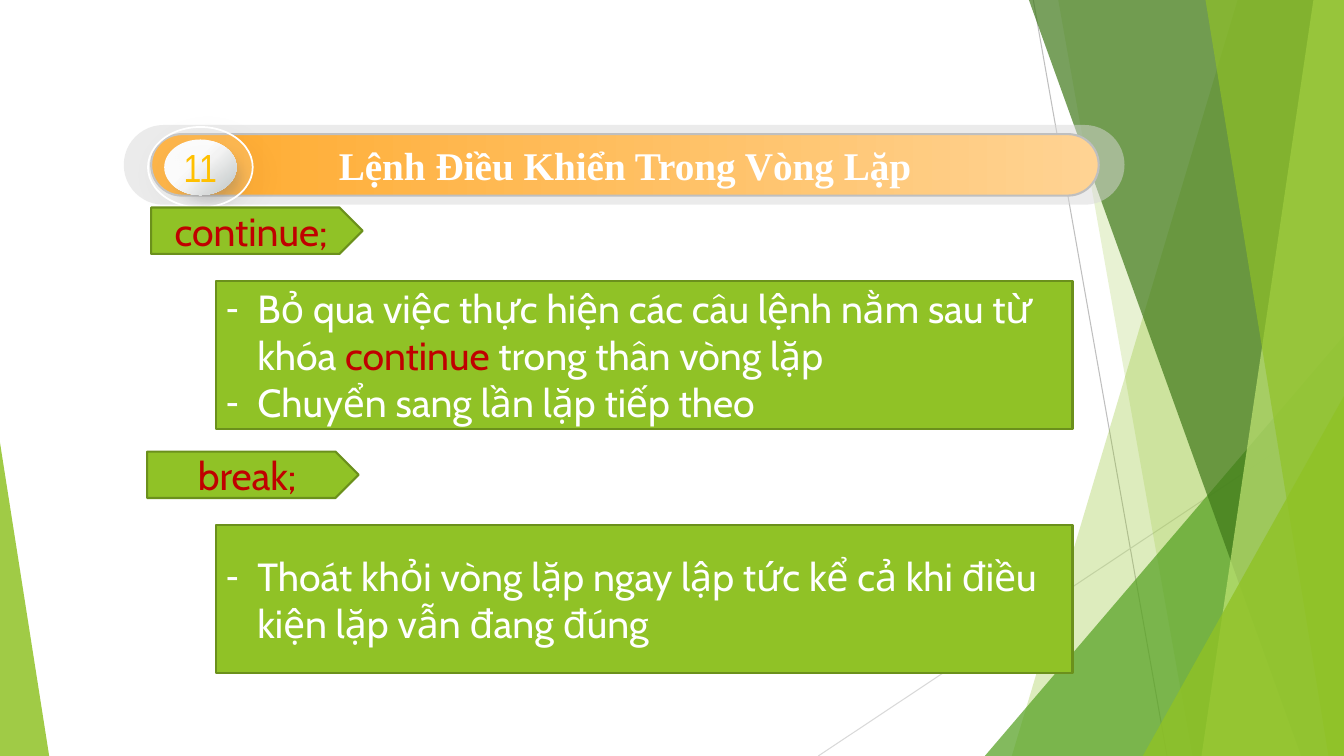
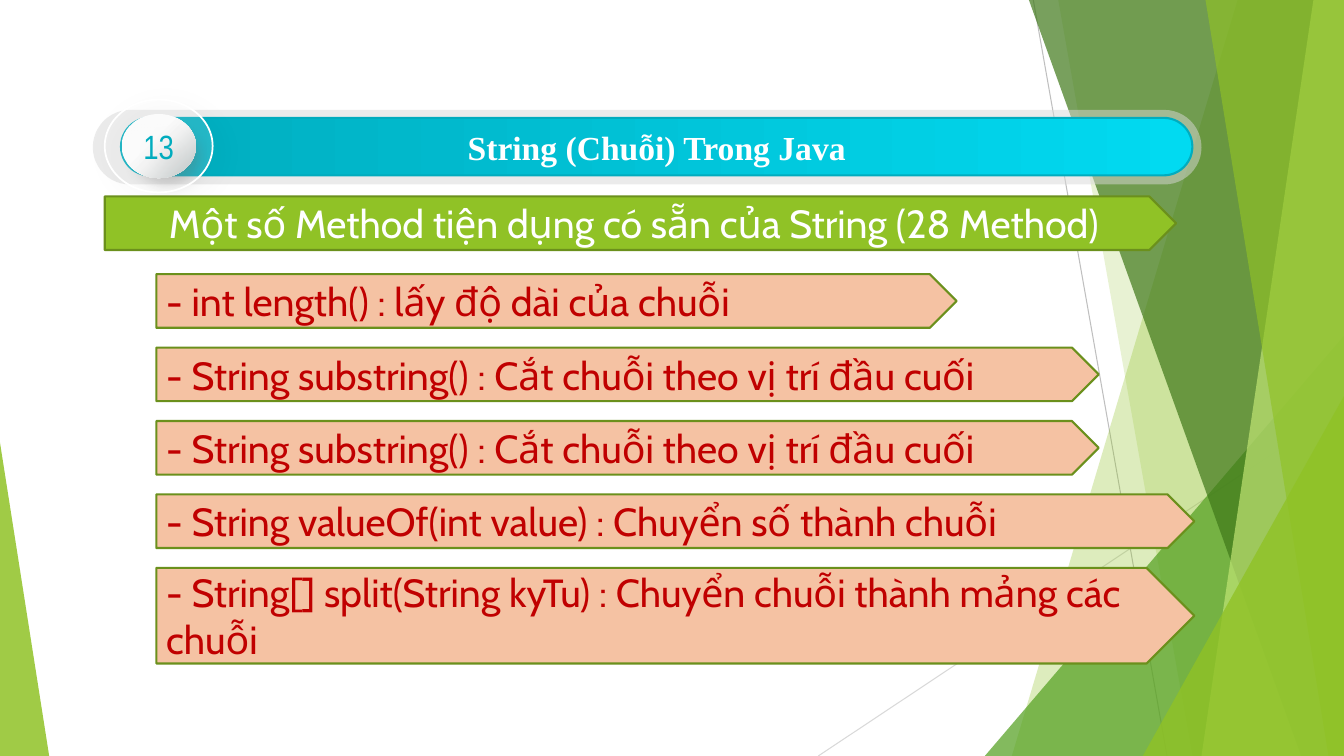
from dataclasses import dataclass
from typing import Any, Optional, Union

import pptx
import pptx.dml.color
import pptx.enum.shapes
import pptx.enum.text
import pptx.oxml.ns
import pptx.slide
import pptx.util
from lxml import etree

Cm = pptx.util.Cm
Pt = pptx.util.Pt
qn = pptx.oxml.ns.qn
SHAPE = pptx.enum.shapes.MSO_SHAPE
ALIGN = pptx.enum.text.PP_ALIGN
MIDDLE = pptx.enum.text.MSO_ANCHOR.MIDDLE

WIDTH, HEIGHT = 33.87, 19.05
COLORS = {
    "green": "90C226", "leaf": "54A021", "forest": "3F7819", "lime": "C0E474",
    "outline": "6B901C", "peach": "F5C2A3", "red": "C00000", "white": "FFFFFF",
    "gray": "BFBFBF", "silver": "D9D9D9", "black": "000000", "slate": "494949",
    "pearl": "F7F7F7", "steel": "B8C0C0", "amber": "FFC000",
    "orange": "FFAA2D", "apricot": "FFD393", "teal": "01ACBE", "cyan": "01DAF1",
}
BODY_FONT, TITLE_FONT, NUMBER_FONT = "Cabin", "Times New Roman", "Arial Narrow"
BODY_SIZE = 28

Run = tuple[str, str]  # text, colour name
Stop = tuple[int, str]  # percent, colour name


@dataclass
class Box:
    x: float
    y: float
    w: float
    h: float

    def scaled(self, k: float, dx: float = 0, dy: float = 0) -> "Box":
        """Same centre, scaled by k, then shifted."""
        return Box(self.x + self.w * (1 - k) / 2 + dx,
                   self.y + self.h * (1 - k) / 2 + dy, self.w * k, self.h * k)

    def lengths(self) -> tuple[int, ...]:
        return tuple(Cm(v) for v in (self.x, self.y, self.w, self.h))


@dataclass
class Band:
    """Full-height facet running from its slanted left side to the right edge."""
    top_x: float
    bottom_x: float
    color: str
    alpha: int


@dataclass
class Triangle:
    box: Box
    apex: float
    color: str
    alpha: int


@dataclass
class Shadow:
    color: str
    alpha: int
    blur: float
    dist: float = 7


@dataclass
class Banner:
    title: str
    number: str
    size: int
    halo: Box
    pill: Box
    ring: Box
    stops: list[Stop]
    line: str
    number_color: str


@dataclass
class Plate:
    box: Box
    text: str
    fill: str
    color: str
    align: Any = ALIGN.CENTER


FACETS: list[Union[Band, Triangle]] = [
    Band(31.19, 25.5, "green", 30),
    Band(26.67, 30.05, "green", 20),
    Triangle(Box(24.82, 8.46, WIDTH - 24.82, HEIGHT - 8.46), 1, "leaf", 72),
    Band(25.93, 32.79, "forest", 70),
    Band(33.1, 30.28, "lime", 70),
    Band(30.38, 33.48, "green", 65),
    Triangle(Box(28.8, 9.98, WIDTH - 28.8, HEIGHT - 9.98), 1, "green", 80),
    Triangle(Box(0, 11.15, 1.24, HEIGHT - 11.15), 0, "green", 85),
]
HAIRLINES = [((26.04, 0), (29.41, HEIGHT), "gray"),
             ((WIDTH, 10.24), (20.62, HEIGHT), "silver")]


# Formatting helpers
def rgb(name: str) -> Any:
    return pptx.dml.color.RGBColor.from_string(COLORS[name])


def add_alpha(clr: Any, percent: int) -> None:
    etree.SubElement(clr, qn("a:alpha")).set("val", str(percent * 1000))


def paint(sp: Any, fill: str, alpha: int = 100, line: Optional[str] = None,
          width: float = 1.5) -> None:
    sp.fill.solid()
    sp.fill.fore_color.rgb = rgb(fill)
    if alpha < 100:
        add_alpha(sp._element.spPr.find(qn("a:solidFill"))[0], alpha)
    if line:
        sp.line.color.rgb = rgb(line)
        sp.line.width = Pt(width)
    else:
        sp.line.fill.background()


def paint_gradient(sp: Any, stops: list[Stop], angle: int) -> None:
    sp.fill.gradient()
    sp.fill.gradient_angle = (360 - angle) % 360
    gs_list = sp._element.spPr.find(".//" + qn("a:gsLst"))
    for gs in list(gs_list):
        gs_list.remove(gs)
    for percent, name in stops:
        gs = etree.SubElement(gs_list, qn("a:gs"), pos=str(percent * 1000))
        etree.SubElement(gs, qn("a:srgbClr"), val=COLORS[name])


def cast_shadow(sp: Any, shadow: Shadow) -> None:
    effects = sp._element.spPr.find(qn("a:effectLst"))
    outer = etree.SubElement(effects, qn("a:outerShdw"), dir=str(45 * 60000),
                             blurRad=str(Pt(shadow.blur)), dist=str(Pt(shadow.dist)))
    clr = etree.SubElement(outer, qn("a:srgbClr"), val=COLORS[shadow.color])
    add_alpha(clr, shadow.alpha)


def add_shape(shapes: Any, kind: Any, box: Box) -> Any:
    sp = shapes.add_shape(kind, *box.lengths())
    sp.shadow.inherit = False
    return sp


def place(sp: Any, box: Box) -> None:
    sp.left, sp.top, sp.width, sp.height = box.lengths()


def add_run(p: Any, text: str, color: str, size: int = BODY_SIZE,
            font: str = BODY_FONT, bold: bool = False) -> None:
    r = p.add_run()
    r.text = text
    r.font.name, r.font.size, r.font.bold = font, Pt(size), bold
    r.font.color.rgb = rgb(color)


def prepare_text(sp: Any) -> Any:
    tf = sp.text_frame
    tf.word_wrap = True
    tf.auto_size = pptx.enum.text.MSO_AUTO_SIZE.NONE
    tf.vertical_anchor = MIDDLE
    return tf


# Shared background, kept on the master
def draw_background(slide: pptx.slide.Slide, master: pptx.slide.SlideMaster) -> None:
    group = slide.shapes.add_group_shape()
    for start, end, color in HAIRLINES:
        ln = group.shapes.add_connector(pptx.enum.shapes.MSO_CONNECTOR.STRAIGHT,
                                        *(Cm(v) for v in start + end))
        ln.line.color.rgb = rgb(color)
        ln.line.width = Pt(0.75)
        etree.SubElement(ln._element.spPr, qn("a:effectLst"))
    for facet in FACETS:
        if isinstance(facet, Band):
            builder = group.shapes.build_freeform(Cm(facet.top_x), 0)
            corners = [(WIDTH, 0), (WIDTH, HEIGHT), (facet.bottom_x, HEIGHT)]
            builder.add_line_segments([(Cm(x), Cm(y)) for x, y in corners], close=True)
            sp = builder.convert_to_shape()
            sp.shadow.inherit = False
        else:
            sp = add_shape(group.shapes, SHAPE.ISOSCELES_TRIANGLE, facet.box)
            sp.adjustments[0] = facet.apex
        paint(sp, facet.color, facet.alpha)
    for i, props in enumerate(group._element.xpath(".//p:cNvPr")):
        props.set("id", str(100 + i))
    master.shapes._spTree.insert(2, group._element)


# Numbered title banner
def draw_banner(slide: pptx.slide.Slide, banner: Banner) -> None:
    halo = add_shape(slide.shapes, SHAPE.ROUNDED_RECTANGLE, banner.halo)
    pill = add_shape(slide.shapes, SHAPE.ROUNDED_RECTANGLE, banner.pill)
    halo.adjustments[0] = pill.adjustments[0] = 0.5
    paint(halo, "silver", 50)
    paint_gradient(pill, banner.stops, 0)
    pill.line.color.rgb = rgb(banner.line)
    pill.line.width = Pt(1.5)

    title = slide.shapes.title
    place(title, banner.pill)
    p = prepare_text(title).paragraphs[0]
    p.alignment = ALIGN.CENTER
    add_run(p, banner.title, "white", banner.size, TITLE_FONT, True)
    slide.shapes._spTree.append(title._element)

    core = add_shape(slide.shapes, SHAPE.OVAL, banner.ring.scaled(0.58, 0.06, 0.1))
    paint_gradient(core, [(0, "white"), (43, "pearl"), (100, "steel")], 45)
    cast_shadow(core, Shadow("slate", 30, 11))
    shell = add_shape(slide.shapes, SHAPE.OVAL, banner.ring.scaled(0.69))
    paint_gradient(shell, [(11, "white"), (39, "white"), (53, "pearl"), (100, "steel")], 45)
    for sp in (core, shell):
        sp.line.fill.background()

    ring = add_shape(slide.shapes, SHAPE.OVAL, banner.ring)
    paint(ring, "white", 14, "white", 1.25)
    cast_shadow(ring, Shadow("black", 11, 17))
    tf = prepare_text(ring)
    tf.margin_left = tf.margin_right = tf.margin_top = tf.margin_bottom = 0
    p = tf.paragraphs[0]
    p.alignment = ALIGN.CENTER
    add_run(p, banner.number, banner.number_color, banner.size, NUMBER_FONT)


# Content parts
def draw_plate(slide: pptx.slide.Slide, plate: Plate) -> None:
    sp = add_shape(slide.shapes, SHAPE.PENTAGON, plate.box)
    paint(sp, plate.fill, line="outline")
    p = prepare_text(sp).paragraphs[0]
    p.alignment = plate.align
    add_run(p, plate.text, plate.color)


def fill_list(sp: Any, box: Box, items: list[list[Run]]) -> None:
    place(sp, box)
    paint(sp, "green", line="outline")
    tf = prepare_text(sp)
    for i, runs in enumerate(items):
        p = tf.add_paragraph() if i else tf.paragraphs[0]
        pr = p._p.get_or_add_pPr()
        pr.set("marL", str(Cm(0.79)))
        pr.set("indent", str(-Cm(0.79)))
        etree.SubElement(pr, qn("a:buChar"), char="-")
        p.space_before = Pt(0)
        for text, color in runs:
            add_run(p, text, color)


def build_loop_slide(slide: pptx.slide.Slide) -> None:
    draw_banner(slide, Banner(
        "Lệnh Điều Khiển Trong Vòng Lặp", "11", 28,
        Box(3.12, 3.15, 25.22, 2.01), Box(3.81, 3.38, 23.88, 1.55),
        Box(3.73, 3.2, 2.64, 2.03), [(0, "orange"), (100, "apricot")], "gray", "amber"))
    continue_items = [
        [("Bỏ qua việc thực hiện các câu lệnh nằm sau từ khóa ", "white"),
         ("continue", "red"), (" trong thân vòng lặp", "white")],
        [("Chuyển sang lần lặp tiếp theo", "white")],
    ]
    break_items = [
        [("Thoát khỏi vòng lặp ngay lập tức kể cả khi điều kiện lặp vẫn đang đúng", "white")],
    ]
    sections = [("continue;", 3.81, continue_items), ("break;", 3.71, break_items)]
    for i, (keyword, left, items) in enumerate(sections):
        top = 5.23 + i * 6.15
        draw_plate(slide, Plate(Box(left, top, 5.33, 1.17), keyword, "green", "red"))
        fill_list(slide.placeholders[i + 1], Box(5.44, top + 1.86, 21.59, 3.71), items)


def build_string_slide(slide: pptx.slide.Slide) -> None:
    draw_banner(slide, Banner(
        "String (Chuỗi) Trong Java", "13", 24,
        Box(2.34, 2.77, 27.94, 1.88), Box(3.05, 2.97, 27, 1.45),
        Box(2.64, 2.51, 2.72, 2.34), [(0, "teal"), (100, "cyan")], "teal", "teal"))
    draw_plate(slide, Plate(Box(2.64, 4.95, 27, 1.35),
                            "Một số Method tiện dụng có sẵn của String (28 Method)",
                            "green", "white"))
    methods = [
        ("- int length() : lấy độ dài của chuỗi", 20.17, 1.35),
        ("- String substring() : Cắt chuỗi theo vị trí đầu cuối", 23.75, 1.35),
        ("- String substring() : Cắt chuỗi theo vị trí đầu cuối", 23.75, 1.35),
        ("- String valueOf(int value) : Chuyển số thành chuỗi", 26.16, 1.35),
        ("- String[] split(String kyTu) : Chuyển chuỗi thành mảng các chuỗi", 26.16, 2.41),
    ]
    for i, (text, width, height) in enumerate(methods):
        box = Box(3.94, 6.91 + i * 1.85, width, height)
        draw_plate(slide, Plate(box, text, "peach", "red", ALIGN.LEFT))


def main() -> None:
    prs = pptx.Presentation()
    prs.slide_width, prs.slide_height = Cm(WIDTH), Cm(HEIGHT)
    loop_slide = prs.slides.add_slide(prs.slide_layouts.get_by_name("Two Content"))
    string_slide = prs.slides.add_slide(prs.slide_layouts.get_by_name("Title Only"))
    draw_background(loop_slide, prs.slide_master)
    build_loop_slide(loop_slide)
    build_string_slide(string_slide)
    prs.save("out.pptx")


if __name__ == "__main__":
    main()
